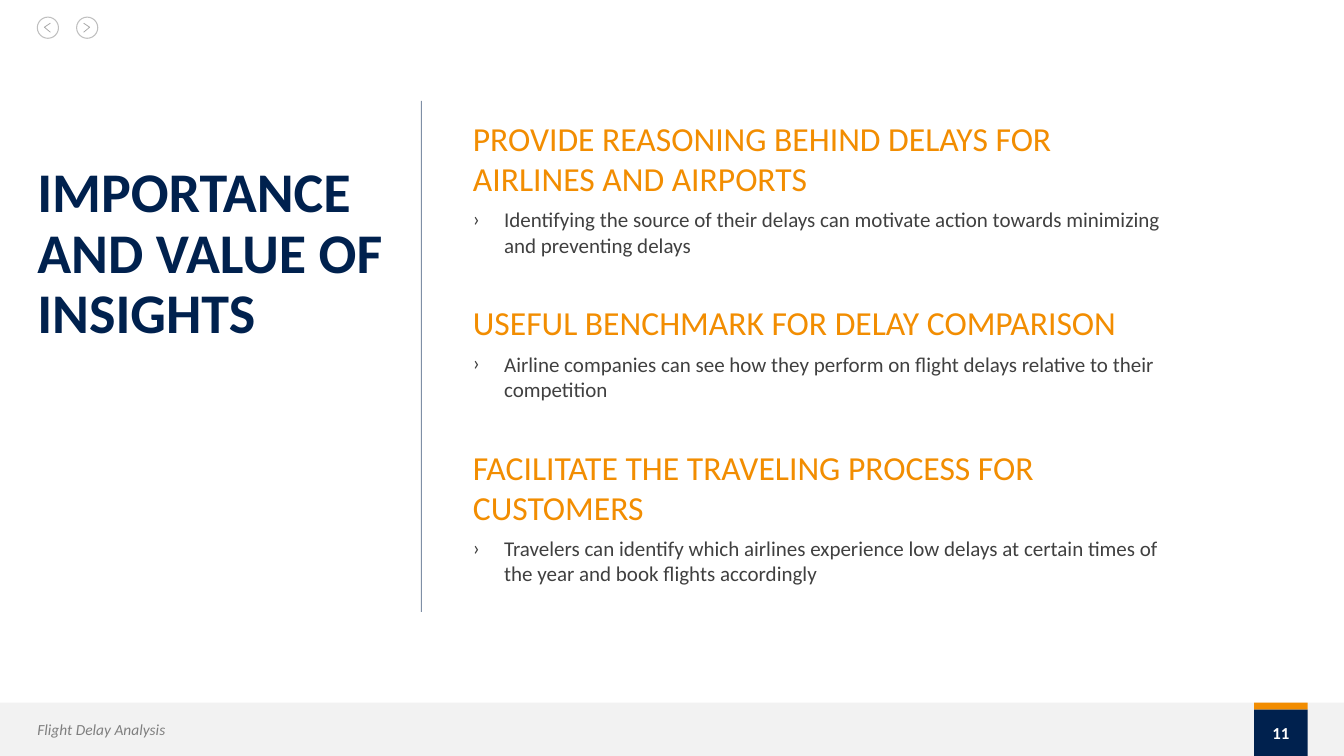
from dataclasses import dataclass

from lxml import etree
from pptx import Presentation
from pptx import util as u
from pptx.dml.color import RGBColor
from pptx.enum import shapes, text
from pptx.oxml import ns

SCALE = 9144
FONT = "Calibri"
COLORS = {
    "navy": "00214E",
    "orange": "F28D01",
    "body": "404040",
    "footer": "7F7F7F",
    "band": "F2F2F2",
    "ring": "BFBFBF",
    "chevron": "A5A5A5",
    "white": "FFFFFF",
}


@dataclass(frozen=True)
class Box:
    left: int
    top: int
    width: int
    height: int


@dataclass(frozen=True)
class Insight:
    top: int
    heading: str
    detail: str


@dataclass(frozen=True)
class NavigationButton:
    left: int
    direction: int


INSIGHTS = [
    Insight(117, "PROVIDE REASONING BEHIND DELAYS FOR AIRLINES AND AIRPORTS",
            "Identifying the source of their delays can motivate action towards "
            "minimizing and preventing delays"),
    Insight(300, "USEFUL BENCHMARK FOR DELAY COMPARISON",
            "Airline companies can see how they perform on flight delays relative "
            "to their competition"),
    Insight(443, "FACILITATE THE TRAVELING PROCESS FOR CUSTOMERS",
            "Travelers can identify which airlines experience low delays at certain "
            "times of the year and book flights accordingly"),
]
BUTTONS = [NavigationButton(37, -1), NavigationButton(76, 1)]


def px(length: int) -> u.Emu:
    return u.Emu(length * SCALE)


def area(box: Box) -> tuple:
    return px(box.left), px(box.top), px(box.width), px(box.height)


def color(name: str) -> RGBColor:
    return RGBColor.from_string(COLORS[name])


def write(paragraph, words: str, *, size: int, ink: str, bold: bool = False,
          italic: bool = False, align=text.PP_ALIGN.LEFT) -> None:
    paragraph.alignment = align
    run = paragraph.add_run()
    run.text = words
    run.font.name = FONT
    run.font.size = u.Pt(size)
    run.font.bold = bold
    run.font.italic = italic
    run.font.color.rgb = color(ink)


def prepare_frame(shape, anchor=text.MSO_ANCHOR.TOP):
    frame = shape.text_frame
    frame.word_wrap = True
    frame.auto_size = text.MSO_AUTO_SIZE.NONE
    frame.vertical_anchor = anchor
    frame.margin_left = frame.margin_right = 0
    frame.margin_top = frame.margin_bottom = 0
    return frame


def add_shape(slide, kind, box: Box, fill: str, outline: str = ""):
    shape = slide.shapes.add_shape(kind, *area(box))
    shape.shadow.inherit = False
    shape.fill.solid()
    shape.fill.fore_color.rgb = color(fill)
    if outline:
        shape.line.color.rgb = color(outline)
        shape.line.width = u.Pt(0.75)
    else:
        shape.line.fill.background()
    return shape


def add_button(slide, button: NavigationButton) -> None:
    add_shape(slide, shapes.MSO_SHAPE.OVAL, Box(button.left, 17, 21, 21), "white", "ring")
    center = button.left + 10
    tail, tip = center - 3 * button.direction, center + 3 * button.direction
    builder = slide.shapes.build_freeform(tail, 23, scale=SCALE)
    builder.add_line_segments([(tip, 27), (tail, 32)], close=False)
    chevron = builder.convert_to_shape()
    chevron.shadow.inherit = False
    chevron.fill.background()
    chevron.line.color.rgb = color("chevron")
    chevron.line.width = u.Pt(0.5)


def add_divider(slide) -> None:
    divider = slide.shapes.add_connector(
        shapes.MSO_CONNECTOR.STRAIGHT, px(418), px(100), px(418), px(607))
    divider.line.color.rgb = color("navy")
    divider.line.width = u.Pt(0.75)
    properties = divider._element.spPr
    ink = properties.find(".//" + ns.qn("a:srgbClr"))
    etree.SubElement(ink, ns.qn("a:alpha"), val="50000")
    etree.SubElement(properties, ns.qn("a:effectLst"))


def add_bullet(paragraph) -> None:
    paragraph.space_before = u.Pt(6)
    properties = paragraph._p.get_or_add_pPr()
    properties.set("marL", str(px(31)))
    properties.set("indent", str(px(-31)))
    bullet_color = etree.SubElement(properties, ns.qn("a:buClr"))
    etree.SubElement(bullet_color, ns.qn("a:srgbClr"), val=COLORS["body"])
    etree.SubElement(properties, ns.qn("a:buFont"), typeface=FONT)
    etree.SubElement(properties, ns.qn("a:buChar"), char="›")


def add_insight(slide, insight: Insight) -> None:
    frame = prepare_frame(slide.shapes.add_textbox(*area(Box(469, insight.top, 685, 207))))
    write(frame.paragraphs[0], insight.heading, size=24, ink="orange")
    detail = frame.add_paragraph()
    write(detail, insight.detail, size=15, ink="body")
    add_bullet(detail)


def add_title(slide) -> None:
    title = slide.shapes.title
    title.left, title.top, title.width, title.height = area(Box(37, 163, 381, 61))
    paragraph = prepare_frame(title).paragraphs[0]
    paragraph.line_spacing = 0.9
    paragraph.space_before = u.Pt(0)
    write(paragraph, "IMPORTANCE AND VALUE OF INSIGHTS", size=40, ink="navy", bold=True)


def add_footer(slide) -> None:
    rectangle = shapes.MSO_SHAPE.RECTANGLE
    add_shape(slide, rectangle, Box(0, 697, 1333, 53), "band")
    add_shape(slide, rectangle, Box(1244, 697, 53, 7), "orange")
    label = slide.shapes.add_textbox(*area(Box(37, 714, 450, 19)))
    write(prepare_frame(label, text.MSO_ANCHOR.MIDDLE).paragraphs[0],
          "Flight Delay Analysis", size=11, ink="footer", italic=True)
    number = add_shape(slide, rectangle, Box(1244, 704, 53, 46), "navy")
    write(prepare_frame(number, text.MSO_ANCHOR.MIDDLE).paragraphs[0],
          "11", size=12, ink="white", bold=True, align=text.PP_ALIGN.CENTER)


def main() -> None:
    presentation = Presentation()
    presentation.slide_width, presentation.slide_height = px(1333), px(750)
    slide = presentation.slides.add_slide(presentation.slide_layouts[5])
    add_footer(slide)
    for button in BUTTONS:
        add_button(slide, button)
    add_title(slide)
    add_divider(slide)
    for insight in INSIGHTS:
        add_insight(slide, insight)
    presentation.save("out.pptx")


if __name__ == "__main__":
    main()
